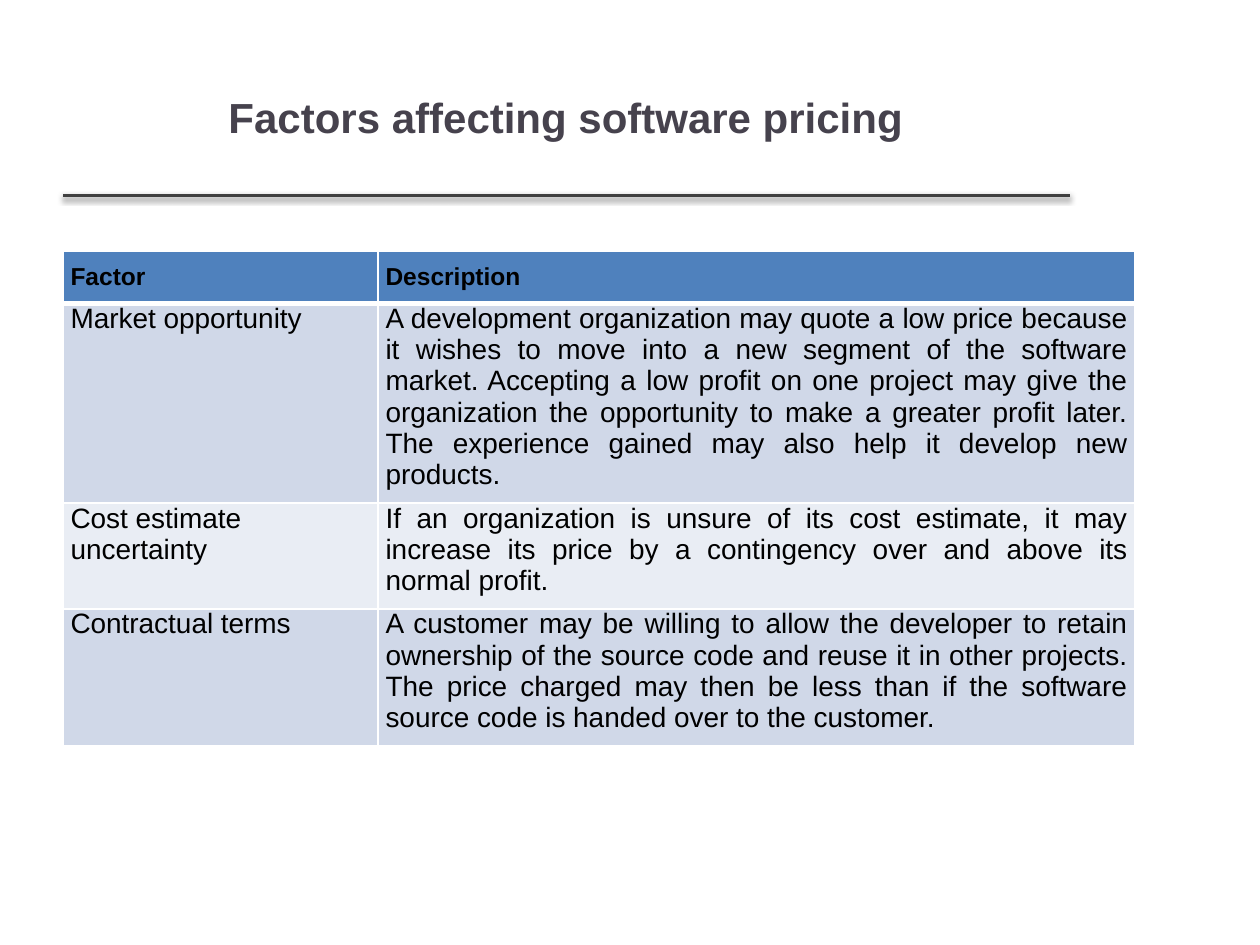
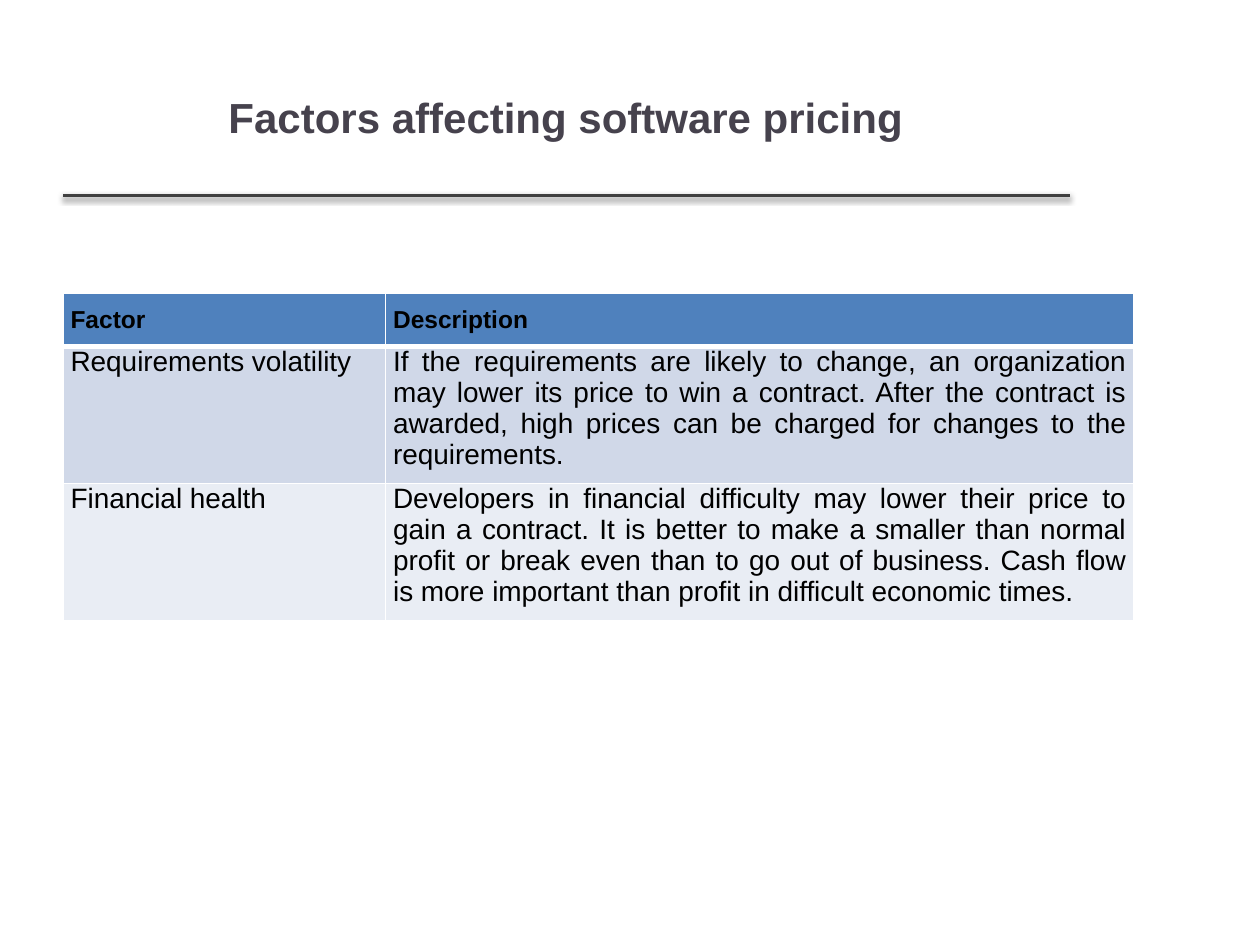
"""Build two slides on the factors that affect software pricing."""
import lxml.etree
import pptx
import pptx.dml.color
import pptx.enum.shapes
import pptx.enum.text
import pptx.oxml
import pptx.oxml.ns
import pptx.util

Inches = pptx.util.Inches
Pt = pptx.util.Pt
ALIGN = pptx.enum.text.PP_ALIGN

FONT = "Arial"
TITLE = "Factors affecting software pricing"
HEAD = ("Factor", "Description")
INK, TITLE_INK, RULE, WHITE = "000000", "46424D", "404040", "FFFFFF"
HEAD_FILL, BANDS = "4F81BD", ("D0D8E8", "E9EDF4")
LEFT, ROW = 0.5, 0.41

MARKET = [
    ("Market opportunity",
     "A development organization may quote a low price because it wishes to move "
     "into a new segment of the software market. Accepting a low profit on one "
     "project may give the organization the opportunity to make a greater profit "
     "later. The experience gained may also help it develop new products."),
    ("Cost estimate uncertainty",
     "If an organization is unsure of its cost estimate, it may increase its price "
     "by a contingency over and above its normal profit."),
    ("Contractual terms",
     "A customer may be willing to allow the developer to retain ownership of the "
     "source code and reuse it in other projects. The price charged may then be "
     "less than if the software source code is handed over to the customer."),
]
HEALTH = [
    ("Requirements volatility",
     "If the requirements are likely to change, an organization may lower its price "
     "to win a contract. After the contract is awarded, high prices can be charged "
     "for changes to the requirements."),
    ("Financial health",
     "Developers in financial difficulty may lower their price to gain a contract. "
     "It is better to make a smaller than normal profit or break even than to go "
     "out of business. Cash flow is more important than profit in difficult "
     "economic times."),
]


def color(code):
    return pptx.dml.color.RGBColor.from_string(code)


def write(frame, text, size, ink, bold, align):
    frame.text = text
    para = frame.paragraphs[0]
    para.alignment = align
    font = para.runs[0].font
    font.name, font.size, font.bold = FONT, Pt(size), bold
    font.color.rgb = color(ink)


def add_title(slide):
    title = slide.shapes.title
    title.left, title.top = Inches(LEFT), Inches(0.3)
    title.width, title.height = Inches(7.98), Inches(1.25)
    title.text_frame.vertical_anchor = pptx.enum.text.MSO_ANCHOR.MIDDLE
    write(title.text_frame, TITLE, 24, TITLE_INK, True, ALIGN.CENTER)


def add_rule(slide):
    rule = slide.shapes.add_connector(
        pptx.enum.shapes.MSO_CONNECTOR.STRAIGHT,
        Inches(LEFT), Inches(1.55), Inches(8.49), Inches(1.55))
    rule.line.color.rgb = color(RULE)
    rule.line.width = Pt(2)
    rule._element.spPr.append(pptx.oxml.parse_xml(
        f'<a:effectLst {pptx.oxml.ns.nsdecls("a")}>'
        f'<a:outerShdw blurRad="{Pt(3.1)}" dist="{Pt(1.6)}" dir="5400000" '
        'rotWithShape="0"><a:srgbClr val="000000"><a:alpha val="38000"/>'
        '</a:srgbClr></a:outerShdw></a:effectLst>'))


def add_edges(cell, top, bottom):
    props = cell._tc.get_or_add_tcPr()
    for side, width in zip("LRTB", (1, 1, top, bottom)):
        edge = lxml.etree.SubElement(
            props, pptx.oxml.ns.qn(f"a:ln{side}"), w=str(Pt(width)))
        fill = lxml.etree.SubElement(edge, pptx.oxml.ns.qn("a:solidFill"))
        lxml.etree.SubElement(fill, pptx.oxml.ns.qn("a:srgbClr"), val=WHITE)


def fill_cell(cell, text, row, col):
    head = row == 0
    cell.margin_left = cell.margin_right = Inches(0.06)
    cell.margin_top = Inches(0.1 if head else 0)
    cell.margin_bottom = Inches(0.1)
    add_edges(cell, 3 if row == 1 else 1, 3 if head else 1)
    cell.fill.solid()
    cell.fill.fore_color.rgb = color(HEAD_FILL if head else BANDS[(row - 1) % 2])
    align = ALIGN.JUSTIFY if head or col else ALIGN.LEFT
    write(cell.text_frame, text, 14 if head else 16, INK, head, align)


def add_grid(slide, top, widths, facts):
    rows = [HEAD, *facts]
    grid = slide.shapes.add_table(
        len(rows), len(HEAD), Inches(LEFT), Inches(top),
        Inches(sum(widths)), Inches(ROW * len(rows))).table
    for col, width in enumerate(widths):
        grid.columns[col].width = Inches(width)
    for row, texts in enumerate(rows):
        for col, text in enumerate(texts):
            fill_cell(grid.cell(row, col), text, row, col)


def add_slide(deck, top, widths, facts):
    slide = deck.slides.add_slide(deck.slide_layouts[5])
    add_rule(slide)
    add_title(slide)
    add_grid(slide, top, widths, facts)


def main():
    deck = pptx.Presentation()
    deck.slide_width, deck.slide_height = Inches(10), Inches(7.5)
    add_slide(deck, 1.99, (2.5, 6.01), MARKET)
    add_slide(deck, 2.33, (2.56, 5.94), HEALTH)
    deck.save("out.pptx")


if __name__ == "__main__":
    main()
